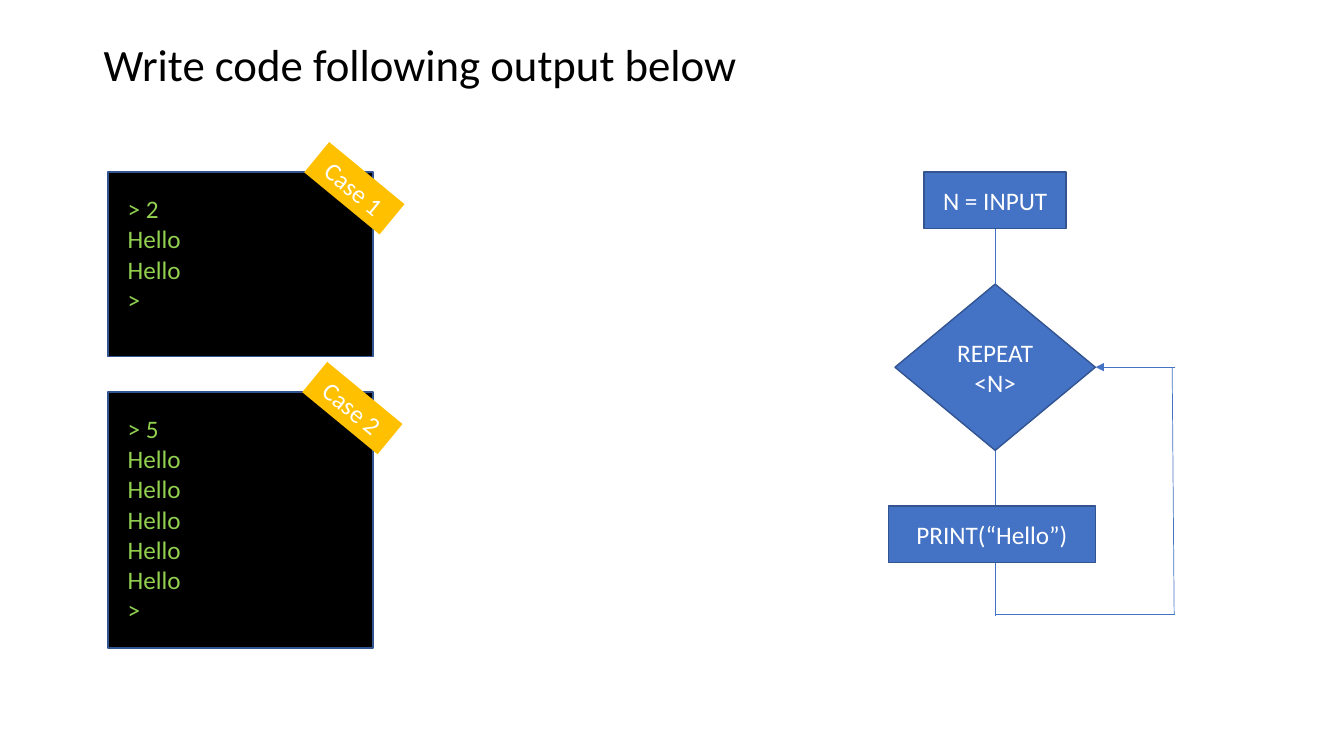
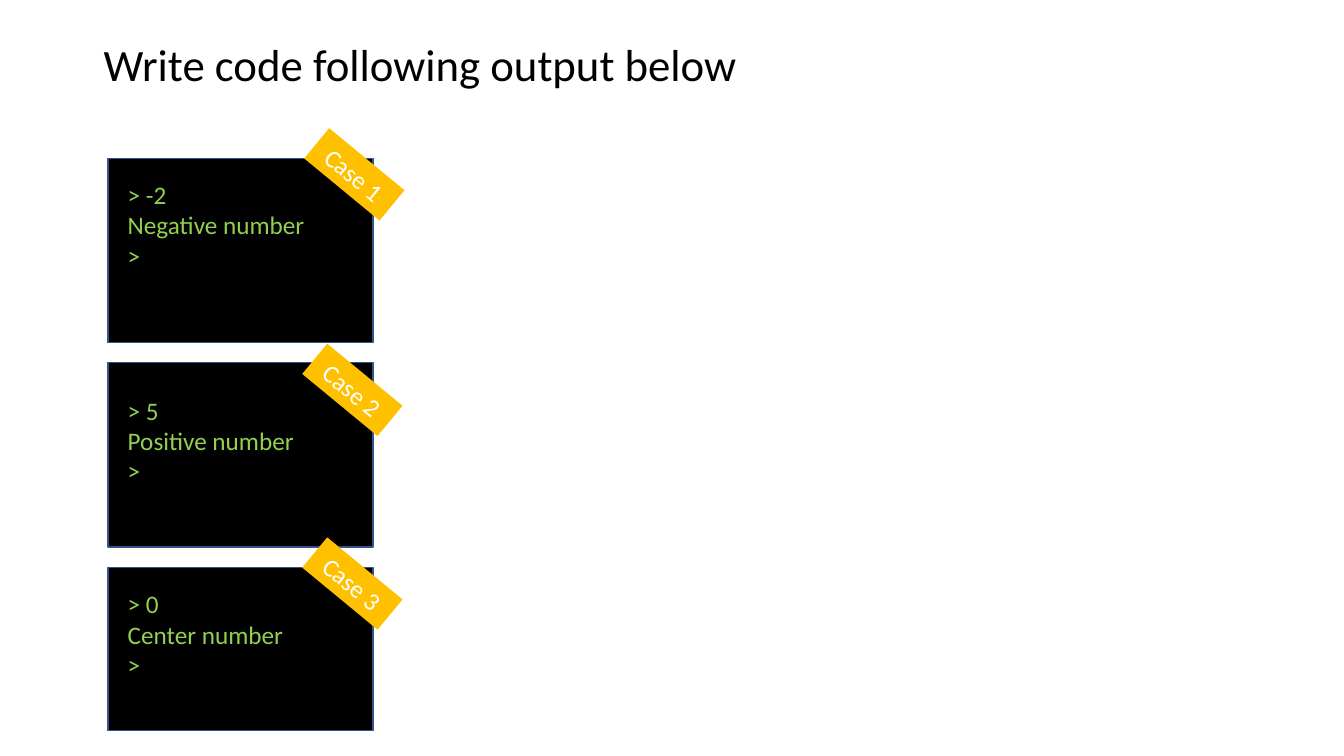
from dataclasses import dataclass

from lxml.etree import SubElement
from pptx import Presentation
from pptx.dml.color import RGBColor
from pptx.enum.shapes import MSO_CONNECTOR, MSO_SHAPE
from pptx.enum.text import MSO_ANCHOR, MSO_AUTO_SIZE, PP_ALIGN
from pptx.oxml.ns import qn
from pptx.shapes.autoshape import Shape
from pptx.slide import Slide
from pptx.text.text import TextFrame
from pptx.util import Cm, Pt

# Shared style
FONT = "Calibri"
BLACK, WHITE, GREEN = "000000", "FFFFFF", "92D050"
BLUE, EDGE, AMBER = "4472C4", "325491", "FFC000"
TITLE = "Write code following output below"
TERM_LEFT, TERM_W = 2.72, 6.68
TEXT_LEFT, LINE_H, INSETS_H = 2.97, 0.77, 0.25
TAG_W, TAG_H, TAG_RISE, TAG_ANGLE = 2.46, 0.99, 0.5, 39.5


@dataclass
class Terminal:
    top: float
    height: float
    text_width: float
    lines: list[str]
    text_drop: float = 0.41


@dataclass
class FlowStep:
    kind: MSO_SHAPE
    center: float
    top: float
    width: float
    height: float
    text: str


@dataclass
class FlowLine:
    x1: float
    y1: float
    x2: float
    y2: float
    arrow: bool = False


def rgb(color: str) -> RGBColor:
    return RGBColor.from_string(color)


def write(tf: TextFrame, lines: list[str], size: float, color: str,
          align: PP_ALIGN = PP_ALIGN.LEFT) -> None:
    for i, line in enumerate(lines):
        p = tf.add_paragraph() if i else tf.paragraphs[0]
        p.alignment = align
        r = p.add_run()
        r.text = line
        r.font.name, r.font.size = FONT, Pt(size)
        r.font.color.rgb = rgb(color)


def add_text(s: Slide, left: float, top: float, width: float, height: float,
             lines: list[str], size: float, color: str) -> None:
    tf = s.shapes.add_textbox(Cm(left), Cm(top), Cm(width), Cm(height)).text_frame
    tf.word_wrap = False
    tf.auto_size = MSO_AUTO_SIZE.SHAPE_TO_FIT_TEXT
    write(tf, lines, size, color)


def add_box(s: Slide, kind: MSO_SHAPE, left: float, top: float, width: float,
            height: float, fill: str, edge: str = "", text: str = "") -> Shape:
    sp = s.shapes.add_shape(kind, Cm(left), Cm(top), Cm(width), Cm(height))
    sp.shadow.inherit = False
    sp.fill.solid()
    sp.fill.fore_color.rgb = rgb(fill)
    if edge:
        sp.line.color.rgb = rgb(edge)
        sp.line.width = Pt(1)
    else:
        sp.line.fill.background()
    if text:
        tf = sp.text_frame
        tf.word_wrap = True
        tf.vertical_anchor = MSO_ANCHOR.MIDDLE
        write(tf, [text], 18, WHITE, PP_ALIGN.CENTER)
    return sp


def add_terminal(s: Slide, number: int, term: Terminal) -> None:
    add_box(s, MSO_SHAPE.RECTANGLE, TERM_LEFT, term.top, TERM_W, term.height,
            BLACK, EDGE)
    text_top = term.top + term.text_drop
    add_text(s, TEXT_LEFT, text_top, term.text_width,
             INSETS_H + LINE_H * len(term.lines), term.lines, 18, GREEN)
    tag_left = 7.7 if number == 1 else 7.65
    tag = add_box(s, MSO_SHAPE.RECTANGLE, tag_left, text_top - TAG_RISE,
                  TAG_W, TAG_H, AMBER, text=f"Case {number}")
    tag.rotation = TAG_ANGLE


def add_step(s: Slide, step: FlowStep) -> None:
    add_box(s, step.kind, step.center - step.width / 2, step.top,
            step.width, step.height, BLUE, EDGE, step.text)


def add_line(s: Slide, line: FlowLine) -> None:
    c = s.shapes.add_connector(MSO_CONNECTOR.STRAIGHT, Cm(line.x1), Cm(line.y1),
                               Cm(line.x2), Cm(line.y2))
    c.line.color.rgb = rgb(BLUE)
    c.line.width = Pt(0.5)
    if line.arrow:
        SubElement(c.line._get_or_add_ln(), qn("a:tailEnd"), type="triangle")
    SubElement(c._element.spPr, qn("a:effectLst"))


def add_exercise(prs: Presentation, terminals: list[Terminal]) -> Slide:
    s = prs.slides.add_slide(prs.slide_layouts[6])
    add_text(s, 2.36, 0.81, 16.64, 1.63, [TITLE], 32, BLACK)
    for number, term in enumerate(terminals, 1):
        add_terminal(s, number, term)
    return s


prs = Presentation()
prs.slide_width, prs.slide_height = Cm(33.87), Cm(19.05)

# Slide 1: repeated greeting with its flowchart
s = add_exercise(prs, [
    Terminal(4.34, 4.65, 1.85, ["> 2", *["Hello"] * 2, ">"]),
    Terminal(9.88, 6.45, 1.85, ["> 5", *["Hello"] * 5, ">"]),
])
AXIS, LOOP_X, LOOP_TOP, LOOP_BOTTOM = 25.08, 29.62, 9.25, 15.47
for line in [
    FlowLine(AXIS, 5.74, AXIS, 7.16),
    FlowLine(AXIS, 11.33, AXIS, 15.52),
    FlowLine(AXIS, LOOP_BOTTOM, LOOP_X, LOOP_BOTTOM),
    FlowLine(29.54, LOOP_TOP, 29.59, LOOP_BOTTOM),
    FlowLine(LOOP_X, LOOP_TOP, 27.61, LOOP_TOP, arrow=True),
]:
    add_line(s, line)
for step in [
    FlowStep(MSO_SHAPE.RECTANGLE, AXIS, 4.34, 3.58, 1.42, "N = INPUT"),
    FlowStep(MSO_SHAPE.DIAMOND, AXIS, 7.16, 5.05, 4.19, "REPEAT<N>"),
    FlowStep(MSO_SHAPE.RECTANGLE, 25, 12.75, 5.23, 1.42, "PRINT(“Hello”)"),
]:
    add_step(s, step)

# Slide 2: sign of a number
add_exercise(prs, [
    Terminal(3.99, 4.65, 5.03, ["> -2", "Negative number", ">"]),
    Terminal(9.14, 4.65, 4.75, ["> 5", "Positive number", ">"], text_drop=0.69),
    Terminal(14.3, 4.11, 4.47, ["> 0", "Center number", ">"]),
])

prs.save("out.pptx")
